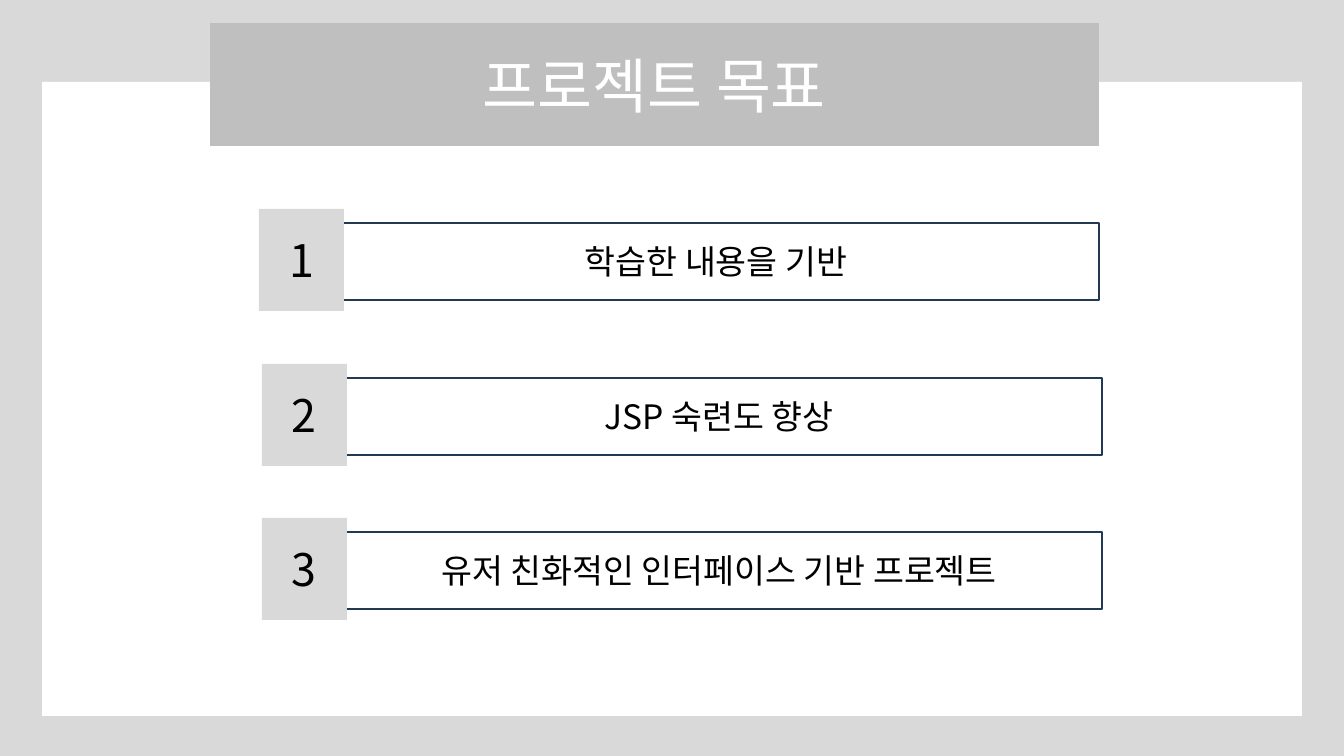
from pptx import Presentation
from pptx.dml.color import RGBColor
from pptx.enum.shapes import MSO_SHAPE
from pptx.enum.text import MSO_ANCHOR, PP_ALIGN
from pptx.oxml.ns import qn
from pptx.util import Pt
from lxml.etree import SubElement

EMU_PER_PX = 914400 / 134.4
FONT = "Noto Sans CJK KR"
COLORS = {
    "background": "D9D9D9",
    "panel": "FFFFFF",
    "banner": "BFBFBF",
    "outline": "233953",
    "title": "FFFFFF",
    "text": "000000",
}
# left and top of each number badge, and the wording beside it
GOALS = [
    (259, 209, "학습한 내용을 기반"),
    (262, 364, "JSP 숙련도 향상"),
    (262, 518, "유저 친화적인 인터페이스 기반 프로젝트"),
]


def px(length):
    return round(length * EMU_PER_PX)


def color(name):
    return RGBColor.from_string(COLORS[name])


class GoalSlide:
    def __init__(self, presentation):
        self.slide = presentation.slides.add_slide(presentation.slide_layouts[6])
        fill = self.slide.background.fill
        fill.solid()
        fill.fore_color.rgb = color("background")

    def rectangle(self, left, top, width, height, fill=None, line=None):
        shape = self.slide.shapes.add_shape(
            MSO_SHAPE.RECTANGLE, px(left), px(top), px(width), px(height))
        shape.shadow.inherit = False
        if fill:
            shape.fill.solid()
            shape.fill.fore_color.rgb = color(fill)
        else:
            shape.fill.background()
        if line:
            shape.line.color.rgb = color(line)
            shape.line.width = Pt(1.25)
        else:
            shape.line.fill.background()
        return shape

    def label(self, shape, text, size, text_color="text"):
        """Centre one line of text in a shape."""
        frame = shape.text_frame
        frame.word_wrap = True
        frame.vertical_anchor = MSO_ANCHOR.MIDDLE
        paragraph = frame.paragraphs[0]
        paragraph.text = text
        paragraph.alignment = PP_ALIGN.CENTER
        paragraph.font.size = Pt(size)
        paragraph.font.name = FONT
        paragraph.font.color.rgb = color(text_color)
        # Hangul takes its typeface from the East Asian font
        properties = paragraph._p.pPr.find(qn("a:defRPr"))
        SubElement(properties, qn("a:ea"), typeface=FONT)

    def goal(self, number, left, top, text):
        box = self.rectangle(left + 74, top + 14, 766, 77, line="outline")
        self.label(box, text, 18)
        badge = self.rectangle(left, top, 85, 102, fill="background")
        self.label(badge, str(number), 24)


def main():
    presentation = Presentation()
    presentation.slide_width = px(1344)
    presentation.slide_height = px(756)

    page = GoalSlide(presentation)
    page.rectangle(42, 82, 1260, 634, fill="panel")
    banner = page.rectangle(210, 23, 889, 123, fill="banner")
    page.label(banner, "프로젝트 목표", 32, "title")
    for number, (left, top, text) in enumerate(GOALS, start=1):
        page.goal(number, left, top, text)

    presentation.save("out.pptx")


if __name__ == "__main__":
    main()
